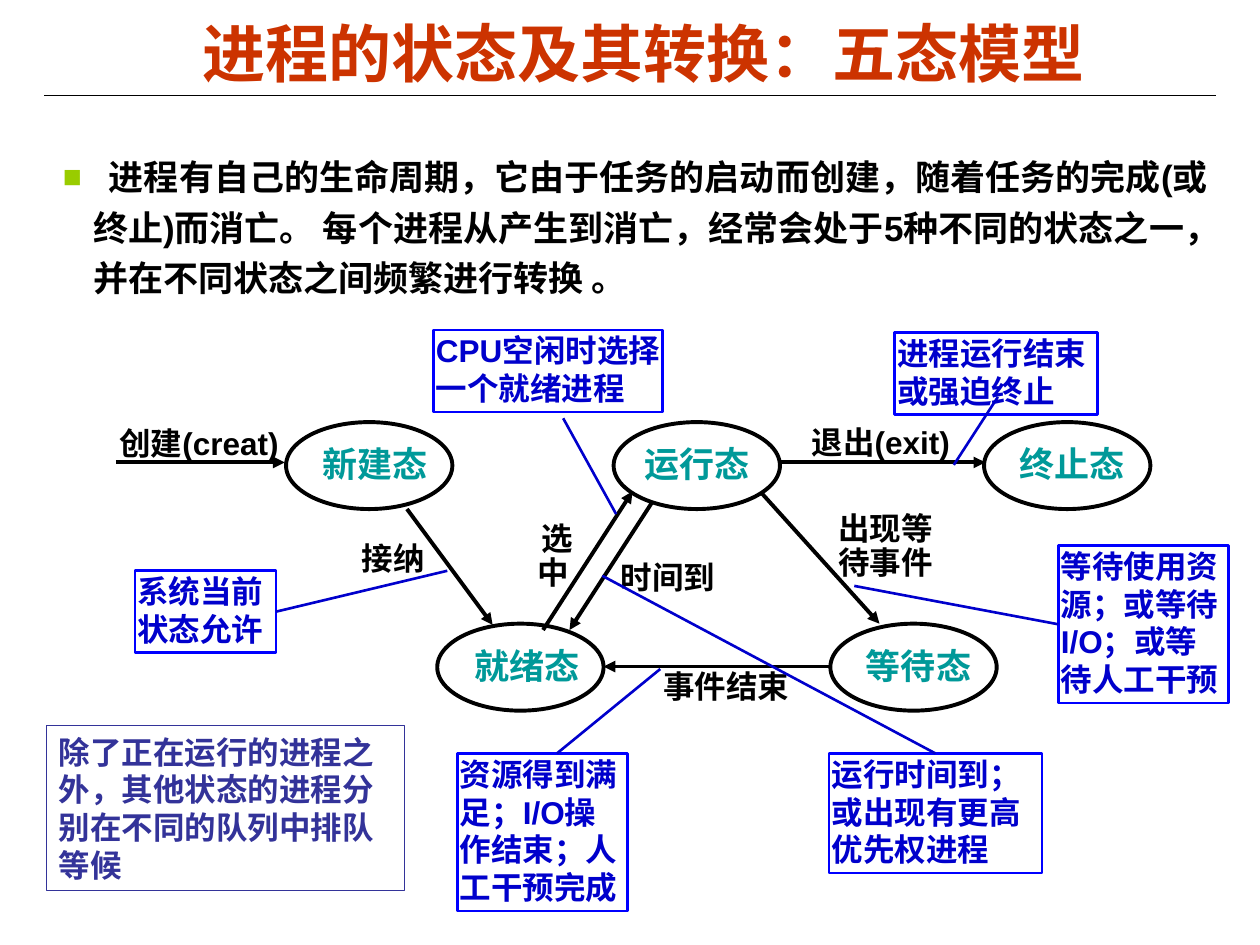
from dataclasses import dataclass

from lxml import etree
from pptx import Presentation
from pptx.dml.color import RGBColor
from pptx.enum.shapes import MSO_CONNECTOR, MSO_SHAPE
from pptx.enum.text import MSO_ANCHOR, PP_ALIGN
from pptx.oxml.ns import qn
from pptx.util import Pt

STRAIGHT = MSO_CONNECTOR.STRAIGHT
RECTANGLE, OVAL = MSO_SHAPE.RECTANGLE, MSO_SHAPE.OVAL
TOP, MIDDLE = MSO_ANCHOR.TOP, MSO_ANCHOR.MIDDLE
LEFT, CENTER = PP_ALIGN.LEFT, PP_ALIGN.CENTER
TOP_SIDE, LEFT_SIDE, RIGHT_SIDE = 0, 1, 3
EMU_PER_PX = 9144
STATE_WIDTH, STATE_HEIGHT = 132, 69
LABEL_HEIGHT = 46
LOWERED = (0, 20, 0, 0)
PADDED = (10, 5, 10, 5)
SNUG = (2, 1, 2, 1)


@dataclass(frozen=True)
class Theme:
    latin: str = "Arial"
    chinese: str = "Noto Sans CJK SC"
    ink: str = "000000"
    paper: str = "FFFFFF"
    title: str = "CC3300"
    bullet: str = "99CC00"
    state: str = "009999"
    callout: str = "0000CC"
    callout_edge: str = "0000FF"
    note: str = "333399"
    title_size: int = 36
    large: int = 20
    body: int = 18
    thin: float = 0.75
    medium: float = 1.5
    thick: float = 2.25


THEME = Theme()


@dataclass(frozen=True)
class Box:
    left: int
    top: int
    width: int
    height: int

    def inner(self, left, top, width, height):
        return Box(self.left + left, self.top + top, width, height)

    def point(self, spot):
        return self.left + spot[0], self.top + spot[1]

    def emu(self):
        return [px(n) for n in (self.left, self.top, self.width, self.height)]


def px(number):
    return number * EMU_PER_PX


def color(value):
    return RGBColor.from_string(value)


def write(shape, words, size, ink, font=THEME.latin, align=LEFT,
          anchor=TOP, inset=PADDED, spacing=None, latin_words=""):
    frame = shape.text_frame
    frame.word_wrap = True
    frame.vertical_anchor = anchor
    (frame.margin_left, frame.margin_top,
     frame.margin_right, frame.margin_bottom) = map(px, inset)
    para = frame.paragraphs[0]
    para.alignment = align
    para.line_spacing = spacing
    para.font.size = Pt(size)
    para.font.bold = True
    para.font.color.rgb = color(ink)
    para.font.name = font
    defaults = para._p.pPr.find(qn("a:defRPr"))
    etree.SubElement(defaults, qn("a:ea"), typeface=THEME.chinese)
    para.add_run().text = words
    if latin_words:
        span = para.add_run()
        span.text = latin_words
        span.font.name = THEME.latin
    return para


def add_text(page, box, words, size, ink, **style):
    return write(page.shapes.add_textbox(*box.emu()), words, size, ink, **style)


def add_outline(page, box, kind, edge, weight, fill=None):
    shape = page.shapes.add_shape(kind, *box.emu())
    shape.shadow.inherit = False
    if fill:
        shape.fill.solid()
        shape.fill.fore_color.rgb = color(fill)
    else:
        shape.fill.background()
    shape.line.color.rgb = color(edge)
    shape.line.width = Pt(weight)
    return shape


def add_line(page, start, end, ink, weight, arrow=False):
    line = page.shapes.add_connector(STRAIGHT, *map(px, (*start, *end)))
    line.line.color.rgb = color(ink)
    line.line.width = Pt(weight)
    if arrow:
        etree.SubElement(line.line._get_or_add_ln(), qn("a:tailEnd"), type="triangle")
    etree.SubElement(line._element.spPr, qn("a:effectLst"))
    return line


def add_header(page, box):
    add_line(page, box.point((0, 81)), box.point((930, 81)), THEME.ink, THEME.thin)
    add_text(page, box.inner(25, 0, 902, 93), "进程的状态及其转换：五态模型",
             THEME.title_size, THEME.title, align=CENTER, anchor=MIDDLE)


def add_introduction(page, box):
    words = ("  进程有自己的生命周期，它由于任务的启动而创建，随着任务的完成(或终止)而消亡。 "
             "每个进程从产生到消亡，经常会处于5种不同的状态之一，并在不同状态之间频繁进行转换 。")
    para = add_text(page, box, words, THEME.large, THEME.ink, spacing=1.2)
    properties = para._p.pPr
    properties.set("marL", str(px(24)))
    properties.set("indent", str(px(-24)))
    bullet_color = etree.Element(qn("a:buClr"))
    etree.SubElement(bullet_color, qn("a:srgbClr"), val=THEME.bullet)
    defaults = properties.find(qn("a:defRPr"))
    for part in (bullet_color,
                 etree.Element(qn("a:buSzPct"), val="90000"),
                 etree.Element(qn("a:buFont"), typeface=THEME.latin),
                 etree.Element(qn("a:buChar"), char="■")):
        defaults.addprevious(part)


def add_transitions(page, box):
    transitions = [
        ((351, 240), (422, 130), (336, 135, 47, LABEL_HEIGHT), " 选中", "", LOWERED),
        ((438, 138), (372, 240), (401, 166, 98, LABEL_HEIGHT), "时间到", "", LOWERED),
        ((525, 132), (618, 235), (578, 127, 90, LABEL_HEIGHT), "出现等待事件", "", LOWERED),
        ((578, 269), (399, 269), (424, 253, 145, LABEL_HEIGHT), "事件结束", "", LOWERED),
        ((540, 107), (702, 107), (551, 71, 136, 40), "退出", "(exit)", PADDED),
        ((243, 144), (311, 236), (175, 163, 114, 40), "接纳", "", PADDED),
        ((12, 107), (146, 107), (0, 72, 156, 40), "创建", "(creat)", PADDED),
    ]
    for start, end, place, words, latin_words, inset in transitions:
        add_text(page, box.inner(*place), words, THEME.body, THEME.ink,
                 font=THEME.chinese, align=CENTER, inset=inset,
                 spacing=0.9 if inset == LOWERED else None, latin_words=latin_words)
        add_line(page, box.point(start), box.point(end), THEME.ink, THEME.thick, arrow=True)


def add_states(page, box):
    upper, lower = 75, 235
    states = [
        ("运行态", 407, upper, 10, 113),
        ("就绪态", 267, lower, 16, 110),
        ("等待态", 579, lower, 19, 102),
        ("新建态", 147, upper, 18, 105),
        ("终止态", 701, upper, 19, 102),
    ]
    for name, left, top, shift, width in states:
        oval = box.inner(left, top, STATE_WIDTH, STATE_HEIGHT)
        add_outline(page, oval, OVAL, THEME.ink, THEME.thick)
        add_text(page, oval.inner(shift, 0, width, LABEL_HEIGHT), name, THEME.large,
                 THEME.state, font=THEME.chinese, align=CENTER, inset=LOWERED, spacing=0.9)


def add_callouts(page, box):
    callouts = [
        ("系统当前状态允许", (27, 193, 112, 65), (275, 193), (139, 225), RIGHT_SIDE, None),
        ("等待使用资源；或等待I/O；或等待人工干预", (760, 173, 135, 125),
         (598, 205), (760, 236), LEFT_SIDE, None),
        ("进程运行结束或强迫终止", (630, 4, 161, 65), (677, 109), (712, 55), None, THEME.paper),
        ("运行时间到；或出现有更高优先权进程", (578, 338, 169, 95),
         (398, 197), (662, 338), TOP_SIDE, None),
        ("资源得到满足；I/O操作结束；人工干预完成", (283, 338, 135, 125),
         (444, 271), (362, 338), None, None),
        ("CPU空闲时选择一个就绪进程", (264, 2, 182, 65), (409, 148), (367, 72), None, THEME.paper),
    ]
    for words, place, tip, root, side, fill in callouts:
        shape = add_outline(page, box.inner(*place), RECTANGLE,
                            THEME.callout_edge, THEME.medium, fill)
        write(shape, words, THEME.body, THEME.callout, inset=SNUG)
        leader = add_line(page, box.point(tip), box.point(root), THEME.callout, THEME.medium)
        if side is not None:
            leader.end_connect(shape, side)


def add_note(page, box):
    shape = add_outline(page, box, RECTANGLE, THEME.note, THEME.thin)
    write(shape, "除了正在运行的进程之外，其他状态的进程分别在不同的队列中排队等候",
          THEME.body, THEME.note, anchor=MIDDLE)


def main():
    deck = Presentation()
    deck.slide_width, deck.slide_height = px(1000), px(750)
    page = deck.slides.add_slide(deck.slide_layouts[6])
    add_header(page, Box(35, -5, 930, 93))
    add_introduction(page, Box(40, 112, 940, 131))
    diagram = Box(80, 260, 895, 463)
    add_transitions(page, diagram)
    add_states(page, diagram)
    add_callouts(page, diagram)
    add_note(page, Box(37, 576, 284, 131))
    deck.save("out.pptx")


if __name__ == "__main__":
    main()
